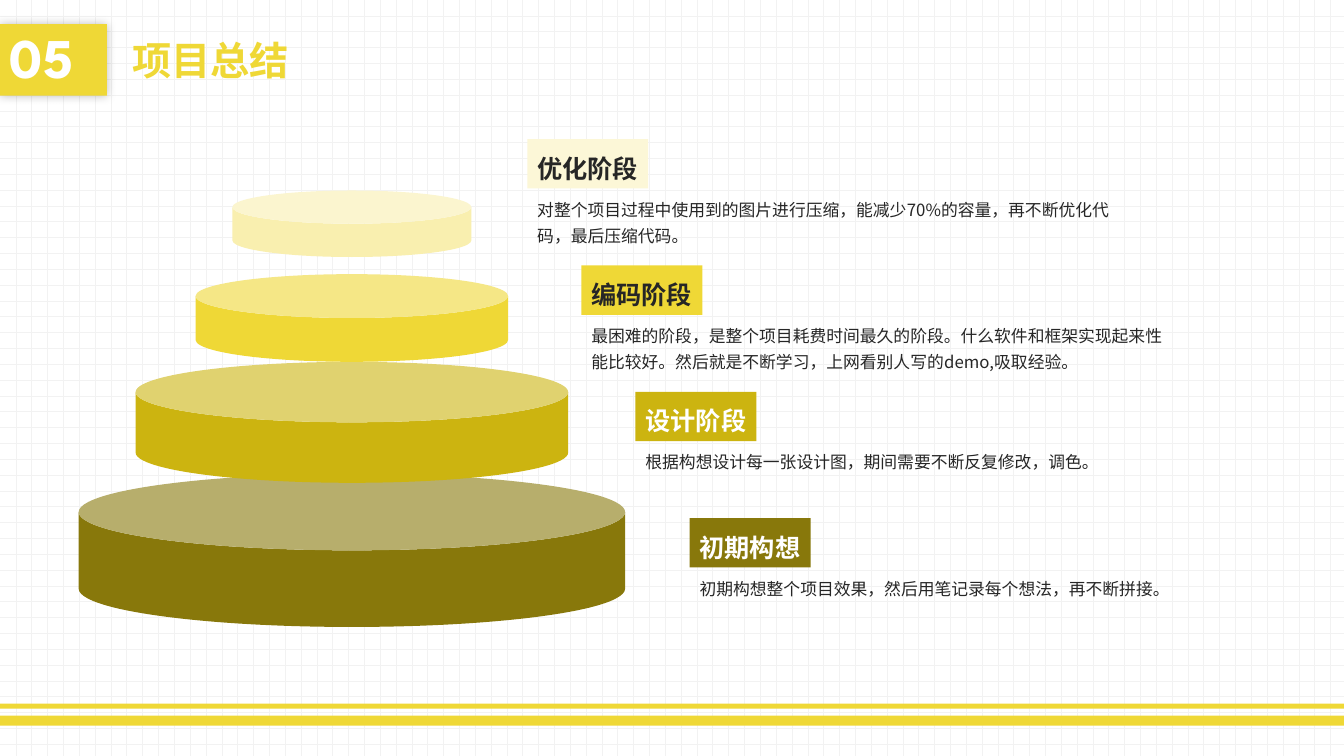
from lxml import etree
from pptx import Presentation
from pptx import util as u
from pptx.dml.color import RGBColor
from pptx.enum import dml, shapes, text
from pptx.oxml.ns import qn

HUES = {
    "gold": "EFD836", "pale": "F9EFAF", "cream": "FCF7D7", "olive": "CCB410",
    "dark": "88780B", "ink": "262626", "white": "FFFFFF", "grid": "F2F2F2",
}
HEAD = "League Spartan"
BODY = "Noto Sans CJK SC"
NUMBER, TITLE = "05", "项目总结"
STAGES = [
    ("优化阶段", "对整个项目过程中使用到的图片进行压缩，能减少70%的容量，再不断优化代码，最后压缩代码。",
     "cream", "ink", 0.62),
    ("编码阶段", "最困难的阶段，是整个项目耗费时间最久的阶段。什么软件和框架实现起来性能比较好。"
     "然后就是不断学习，上网看别人写的demo,吸取经验。", "gold", "ink", 0.62),
    ("设计阶段", "根据构想设计每一张设计图，期间需要不断反复修改，调色。", "olive", "white", 0.36),
    ("初期构想", "初期构想整个项目效果，然后用笔记录每个想法，再不断拼接。", "dark", "white", 0.36),
]
DISKS = [
    (4.7, 5.42, 1.52, "dark"), (3.59, 4.29, 1.2, "olive"),
    (2.72, 3.1, 0.87, "gold"), (1.89, 2.37, 0.66, "pale"),
]
BANDS = [(7.1, 0.1), (6.98, 0.05)]
WIDE, HIGH = 13.33, 7.5
AXIS = 3.49
LEFT, TOP = 5.23, 1.38
STEP_X, STEP_Y = (6.84 - LEFT) / 3, (5.14 - TOP) / 3
TAG_W, TAG_H, NOTE_W = 1.2, 0.49, 6.02
BAR_Y, BAR_H = 0.24, 0.71


def hue(name):
    return RGBColor.from_string(HUES[name])


def place(box):
    return [u.Inches(n) for n in box]


def block(page, kind, box, fill):
    item = page.shapes.add_shape(kind, *place(box))
    item.shadow.inherit = False
    item.fill.solid()
    item.fill.fore_color.rgb = hue(fill)
    item.line.fill.background()
    return item


def write(item, words, size, face, tint, bold=False, lead=1.0, mid=False, wrap=True):
    frame = item.text_frame
    frame.text = words
    frame.word_wrap = wrap
    frame.auto_size = text.MSO_AUTO_SIZE.NONE
    frame.vertical_anchor = text.MSO_ANCHOR.MIDDLE if mid else text.MSO_ANCHOR.TOP
    para = frame.paragraphs[0]
    para.alignment = text.PP_ALIGN.LEFT
    para.line_spacing = lead
    font = para.runs[0].font
    font.size, font.name, font.bold = u.Pt(size), face, bold
    font.color.rgb = hue(tint)
    east = etree.SubElement(para.runs[0]._r.rPr, qn("a:ea"))
    east.set("typeface", BODY)


def shade(item):
    glow = item._element.spPr.find(qn("a:effectLst"))
    cast = etree.SubElement(glow, qn("a:outerShdw"), blurRad=str(u.Pt(7)), dist="0",
                            algn="ctr", rotWithShape="0")
    tone = etree.SubElement(cast, qn("a:srgbClr"), val="000000")
    etree.SubElement(tone, qn("a:alpha"), val="25000")


def main():
    deck = Presentation()
    deck.slide_width, deck.slide_height = place((WIDE, HIGH))
    page = deck.slides.add_slide(deck.slide_layouts[5])
    back = page.background.fill
    back.patterned()
    back.pattern = dml.MSO_PATTERN.DOTTED_GRID
    back.fore_color.rgb, back.back_color.rgb = hue("grid"), hue("white")
    rect, can = shapes.MSO_SHAPE.RECTANGLE, shapes.MSO_SHAPE.CAN

    for top, high in BANDS:
        block(page, rect, (0, top, WIDE, high), "gold")

    badge = block(page, rect, (0, BAR_Y, 1.06, BAR_H), "gold")
    shade(badge)
    write(badge, NUMBER, 40, HEAD, "white", True, 0.9, True)
    title = page.shapes.title
    title.left, title.top, title.width, title.height = place((1.21, BAR_Y, 7.04, BAR_H))
    write(title, TITLE, 28, HEAD, "gold", True, mid=True)

    for top, wide, high, fill in DISKS:
        disk = block(page, can, (AXIS - wide / 2, top, wide, high), fill)
        disk.adjustments[0] = 0.5

    for row, (name, words, fill, tint, high) in enumerate(STAGES):
        left, top = LEFT + row * STEP_X, TOP + row * STEP_Y
        note = page.shapes.add_textbox(*place((left, top + TAG_H, NOTE_W, high)))
        write(note, words, 12, BODY, "ink", lead=1.3)
        tag = block(page, rect, (left, top, TAG_W, TAG_H), fill)
        write(tag, name, 18, HEAD, tint, True, 1.3, wrap=False)

    deck.save("out.pptx")


if __name__ == "__main__":
    main()
